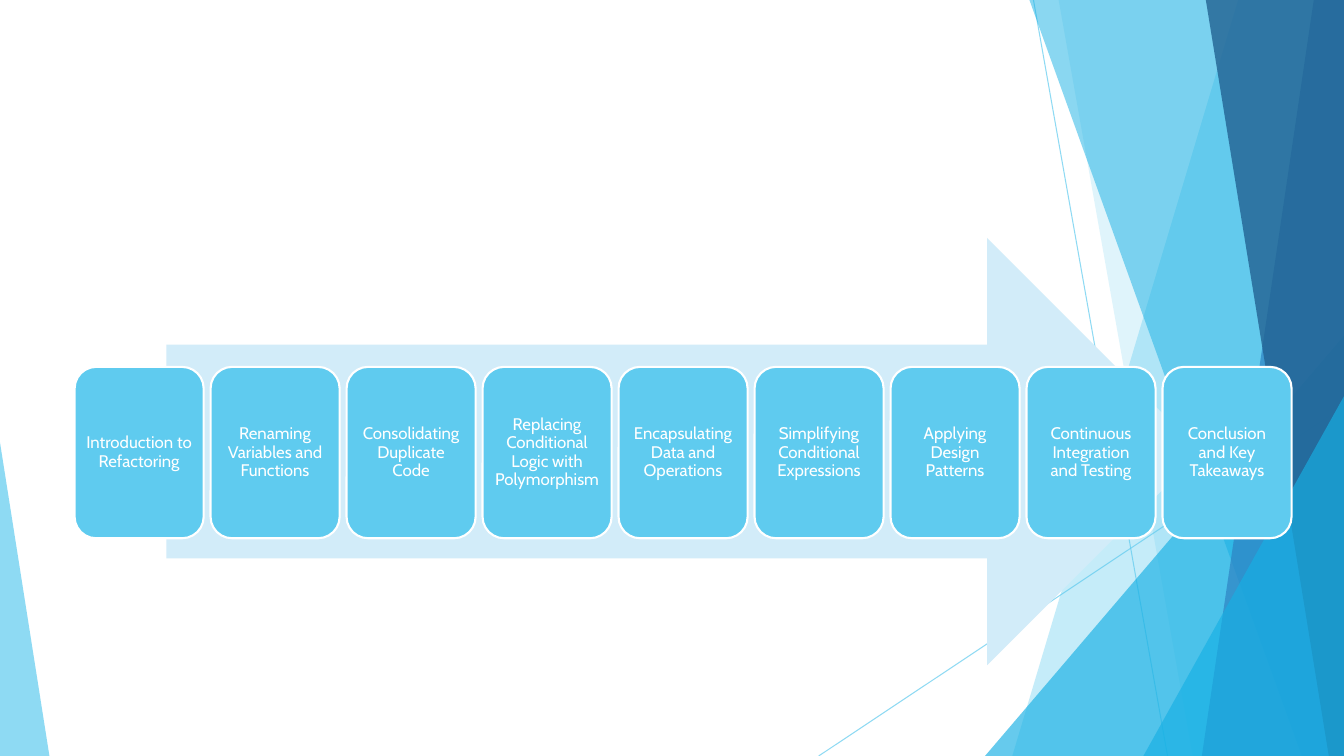
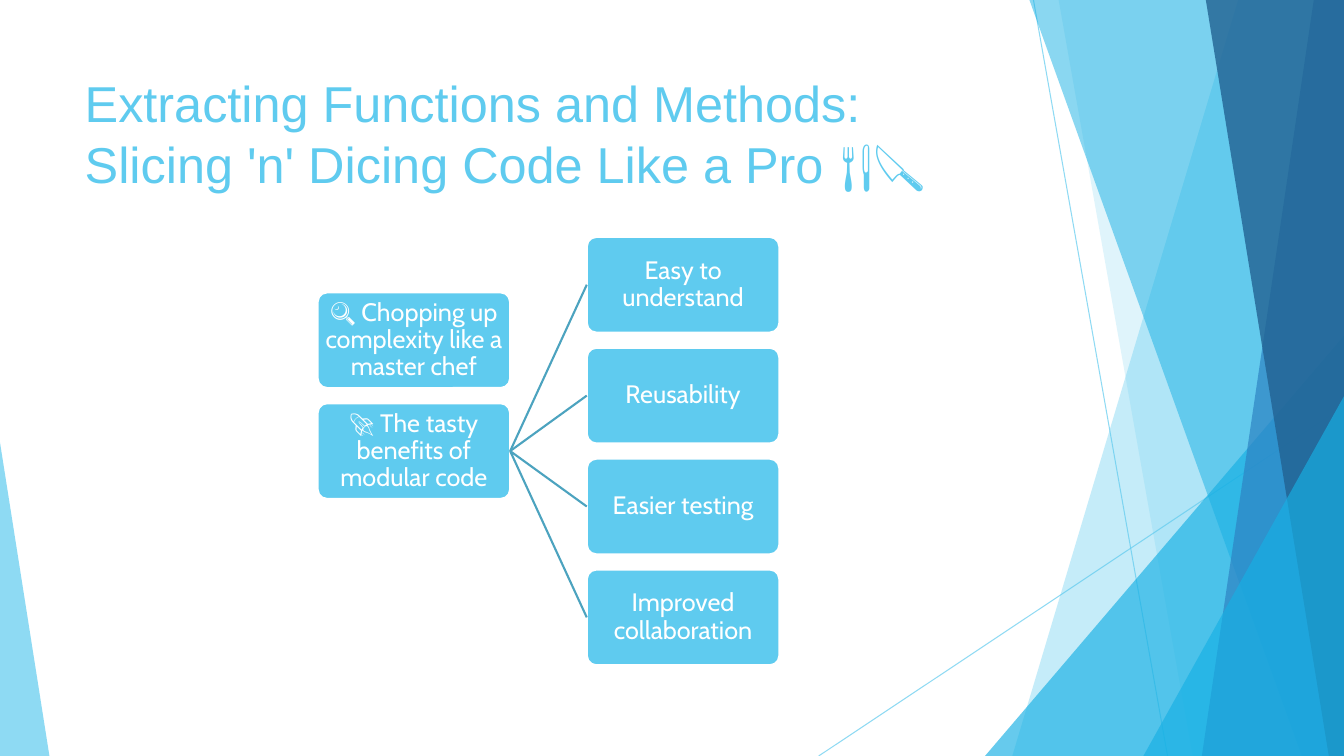
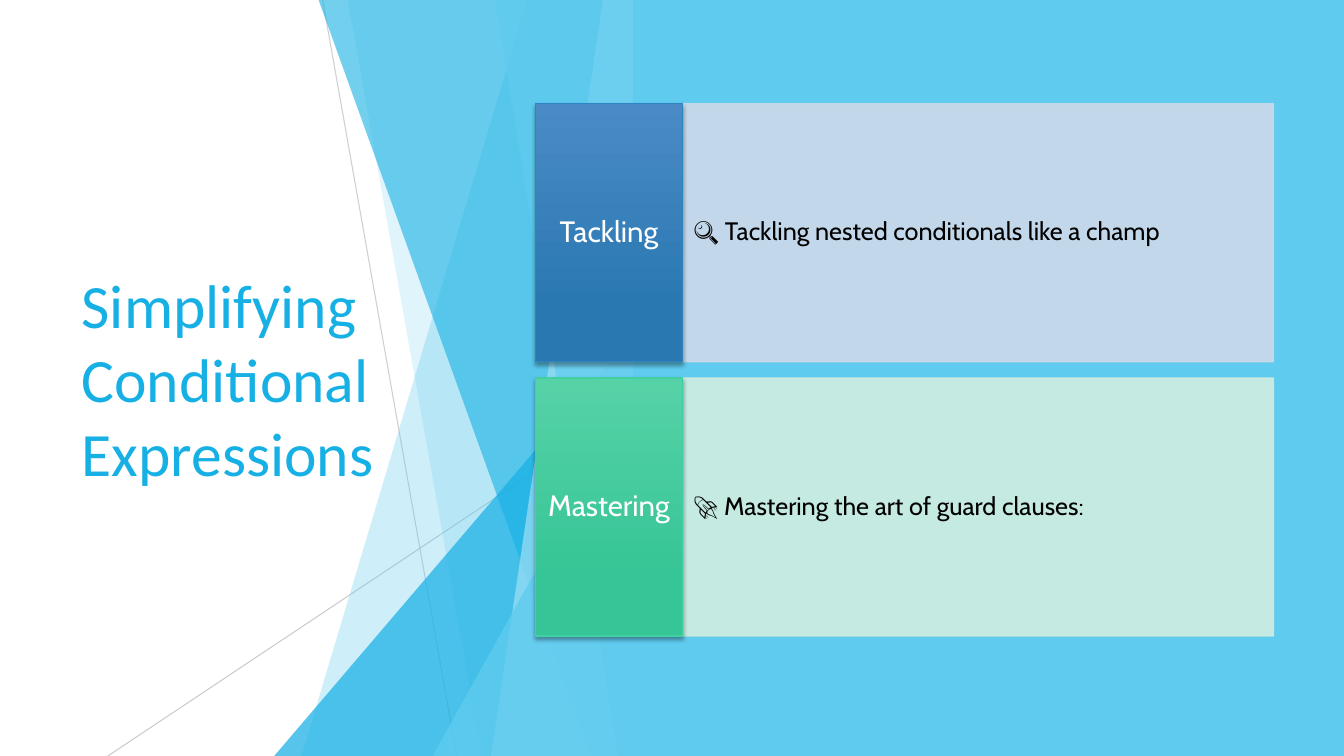
import pptx
import pptx.util
import pptx.dml.color
import pptx.enum.shapes
import pptx.enum.text
import pptx.oxml.ns
import lxml.etree

RGB = pptx.dml.color.RGBColor
SHAPE = pptx.enum.shapes.MSO_SHAPE
ALIGN = pptx.enum.text.PP_ALIGN
ANCHOR = pptx.enum.text.MSO_ANCHOR

WHITE = RGB(0xFF, 0xFF, 0xFF)
BLACK = RGB(0, 0, 0)
GRAY = RGB(0xBF, 0xBF, 0xBF)
SKY = RGB(0x5F, 0xCB, 0xEF)
AZURE = RGB(0x17, 0xB0, 0xE4)
BLUE = RGB(0x2E, 0x83, 0xC3)
NAVY = RGB(0x22, 0x62, 0x92)
ICE = RGB(0x9F, 0xE0, 0xF5)
PALE = RGB(0xD2, 0xEC, 0xF9)
STEEL = RGB(0x4C, 0xA3, 0xBF)
GREEN = RGB(0x42, 0xD0, 0xA2)

WIDE, HIGH = 13.33, 7.5
SPLIT = 6.28

RAYS = [((3.08, 0), (1.75, HIGH)), ((0, 4.03), (5.21, HIGH))]
FACETS = [
    ("band", 1.05, 3.29), ("band", 2.83, 1.5), ("peak", 3.56, 4.17),
    ("band", 3.12, 0.42), ("band", 0.3, 1.41), ("band", 1.37, 0.15),
    ("peak", 1.99, 3.57),
]
DEEP = [(SKY, 36), (SKY, 20), (AZURE, 66), (AZURE, 50), (BLUE, 70), (NAVY, 80), (AZURE, 66)]
LIGHT = [(SKY, 30), (SKY, 20), (AZURE, 72), (AZURE, 60), (ICE, 70), (SKY, 65), (SKY, 80)]

STEPS = [
    "Introduction to Refactoring",
    "Renaming Variables and Functions",
    "Consolidating Duplicate Code",
    "Replacing Conditional Logic with Polymorphism",
    "Encapsulating Data and Operations",
    "Simplifying Conditional Expressions",
    "Applying Design Patterns",
    "Continuous Integration and Testing",
    "Conclusion and Key Takeaways",
]
SLICING = "Extracting Functions and Methods: Slicing 'n' Dicing Code Like a Pro 🍴🔪"
ROOTS = ["🔍 Chopping up complexity like a master chef", "🚀 The tasty benefits of modular code"]
GAINS = ["Easy to understand", "Reusability", "Easier testing", "Improved collaboration"]
SIMPLE = "Simplifying Conditional Expressions"
CARDS = [
    ("Tackling", "🔍 Tackling nested conditionals like a champ", BLUE,
     RGB(0x4A, 0x8B, 0xC6), RGB(0x2A, 0x78, 0xB2), RGB(0xCD, 0xD9, 0xE9)),
    ("Mastering", "🚀 Mastering the art of guard clauses:", GREEN,
     RGB(0x56, 0xD2, 0xA7), RGB(0x36, 0xC5, 0x96), RGB(0xCF, 0xEE, 0xE0)),
]


def emu(*sizes):
    return [pptx.util.Inches(size) for size in sizes]


def add(parent, tag, **attrs):
    node = lxml.etree.SubElement(parent, pptx.oxml.ns.qn(tag))
    for name, value in attrs.items():
        node.set(name, str(value))
    return node


def fade(shape, share):
    for color in shape.element.spPr.iter(pptx.oxml.ns.qn("a:srgbClr")):
        add(color, "a:alpha", val=share * 1000)


def paint(shape, fill, line=None, width=1.5):
    shape.shadow.inherit = False
    shape.fill.solid()
    shape.fill.fore_color.rgb = fill
    if line is None:
        shape.line.fill.background()
    else:
        shape.line.color.rgb = line
        shape.line.width = pptx.util.Pt(width)
    return shape


def box(slide, kind, place, fill, line=None, width=1.5):
    return paint(slide.shapes.add_shape(kind, *emu(*place)), fill, line, width)


def link(slide, start, end, color, width):
    line = slide.shapes.add_connector(
        pptx.enum.shapes.MSO_CONNECTOR.STRAIGHT, *emu(*start, *end))
    line.line.color.rgb = color
    line.line.width = pptx.util.Pt(width)
    add(line.element.spPr, "a:effectLst")
    return line


def label(shape, text, size, pad, color=WHITE, align=ALIGN.CENTER):
    frame = shape.text_frame
    frame.text = text
    frame.word_wrap = True
    frame.vertical_anchor = ANCHOR.MIDDLE
    frame.margin_left = frame.margin_right = pptx.util.Inches(pad)
    frame.margin_top = frame.margin_bottom = pptx.util.Inches(pad)
    para = frame.paragraphs[0]
    para.alignment = align
    para.line_spacing = 0.9
    style(para, size, "Cabin", color)


def style(para, size, face, color):
    font = para.runs[0].font
    font.size, font.name = pptx.util.Pt(size), face
    font.color.rgb = color


def head(slide, text, place, size, face, color, anchor):
    title = slide.shapes.title
    title.left, title.top, title.width, title.height = emu(*place)
    frame = title.text_frame
    frame.text = text
    frame.word_wrap = True
    frame.auto_size = pptx.enum.text.MSO_AUTO_SIZE.NONE
    frame.vertical_anchor = anchor
    frame.paragraphs[0].alignment = ALIGN.LEFT
    style(frame.paragraphs[0], size, face, color)
    slide.element.cSld.spTree.append(title.element)


def fan(slide, edge, tints, color, shares):
    for (start, end), share in zip(RAYS, shares):
        ends = [(edge - x, y) for x, y in (start, end)]
        fade(link(slide, *ends, color, 0.75), share)
    for (kind, first, second), (tint, share) in zip(FACETS, tints):
        if kind == "band":
            dots = [(edge - first, 0), (edge, 0), (edge, HIGH), (edge - second, HIGH)]
            path = [emu(*dot) for dot in dots]
            form = slide.shapes.build_freeform(*path[0], scale=1.0)
            form.add_line_segments(path[1:], close=True)
            facet = paint(form.convert_to_shape(), tint)
        else:
            place = (edge - first, HIGH - second, first, second)
            facet = box(slide, SHAPE.ISOSCELES_TRIANGLE, place, tint)
            facet.adjustments[0] = 1
        fade(facet, share)


def theme(deck, slide):
    fan(slide, WIDE, DEEP, SKY, (70, 70))
    wedge = box(slide, SHAPE.ISOSCELES_TRIANGLE, (0, 4.39, 0.49, 3.11), SKY)
    wedge.adjustments[0] = 0
    fade(wedge, 70)
    tree = deck.slide_master.element.cSld.spTree
    for spot, shape in enumerate(list(slide.shapes)):
        shape.element.xpath(".//p:cNvPr")[0].set("id", str(100 + spot))
        tree.insert(2 + spot, shape.element)


def agenda(slide):
    box(slide, SHAPE.RIGHT_ARROW, (1.65, 2.36, 10.26, 4.24), PALE)
    left, last = 0.74, 11.53
    pitch = (last - left) / (len(STEPS) - 1)
    for spot, text in enumerate(STEPS):
        place = (left + spot * pitch, 3.64, 1.28, 1.7)
        label(box(slide, SHAPE.ROUNDED_RECTANGLE, place, SKY, WHITE), text, 12, 0.05)


def stack(slide, texts, left, top):
    tiles = []
    for row, text in enumerate(texts):
        place = (left, top + row * 1.1, 1.91, 0.95)
        tile = box(slide, SHAPE.ROUNDED_RECTANGLE, place, SKY, WHITE)
        tile.adjustments[0] = 0.1
        label(tile, text, 18, 0.01)
        tiles.append(tile)
    return tiles


def slicing(slide):
    head(slide, SLICING, (0.74, 0.67, 9.4, 1.44), 36, "Arial", SKY, ANCHOR.TOP)
    roots = stack(slide, ROOTS, 3.15, 2.9)
    for tile in stack(slide, GAINS, 5.82, 2.35):
        line = link(slide, (0, 0), (0, 0), STEEL, 1.5)
        line.begin_connect(roots[-1], 3)
        line.end_connect(tile, 1)


def simple(slide):
    box(slide, SHAPE.RECTANGLE, (0, 0, WIDE, HIGH), WHITE)
    fan(slide, SPLIT, LIGHT, GRAY, (75, 80))
    head(slide, SIMPLE, (0.71, 1.51, 3.88, 4.48), 44, "Calibri", AZURE, ANCHOR.MIDDLE)
    box(slide, SHAPE.RECTANGLE, (SPLIT, 0, WIDE - SPLIT, HIGH), SKY)
    left, top, tall = 5.31, 1.03, 2.56
    slim, broad, pitch = 1.46, 5.86, 2.72
    for row, (name, text, edge, light, dark, pale) in enumerate(CARDS):
        y = top + row * pitch
        body = box(slide, SHAPE.RECTANGLE, (left + slim, y, broad, tall), pale, pale, 1)
        fade(body, 90)
        label(body, text, 18, 0.11, BLACK, ALIGN.LEFT)
        tab = box(slide, SHAPE.RECTANGLE, (left, y, slim, tall), edge, edge, 1)
        tab.fill.gradient()
        tab.fill.gradient_angle = 270
        for stop, color, spot in zip(tab.fill.gradient_stops, (light, dark), (0, 0.78)):
            stop.color.rgb, stop.position = color, spot
        glow = add(tab.element.spPr.find(pptx.oxml.ns.qn("a:effectLst")), "a:outerShdw",
                   blurRad=pptx.util.Pt(3), dist=pptx.util.Pt(2), dir=90 * 60000,
                   algn="ctr", rotWithShape=0)
        add(add(glow, "a:srgbClr", val="000000"), "a:alpha", val=35000)
        label(tab, name, 21, 0.08)


def main():
    deck = pptx.Presentation()
    deck.slide_width, deck.slide_height = emu(WIDE, HIGH)
    plain, titled = deck.slide_layouts[6], deck.slide_layouts[5]
    first = deck.slides.add_slide(plain)
    theme(deck, first)
    agenda(first)
    slicing(deck.slides.add_slide(titled))
    simple(deck.slides.add_slide(titled))
    deck.save("out.pptx")


if __name__ == "__main__":
    main()
